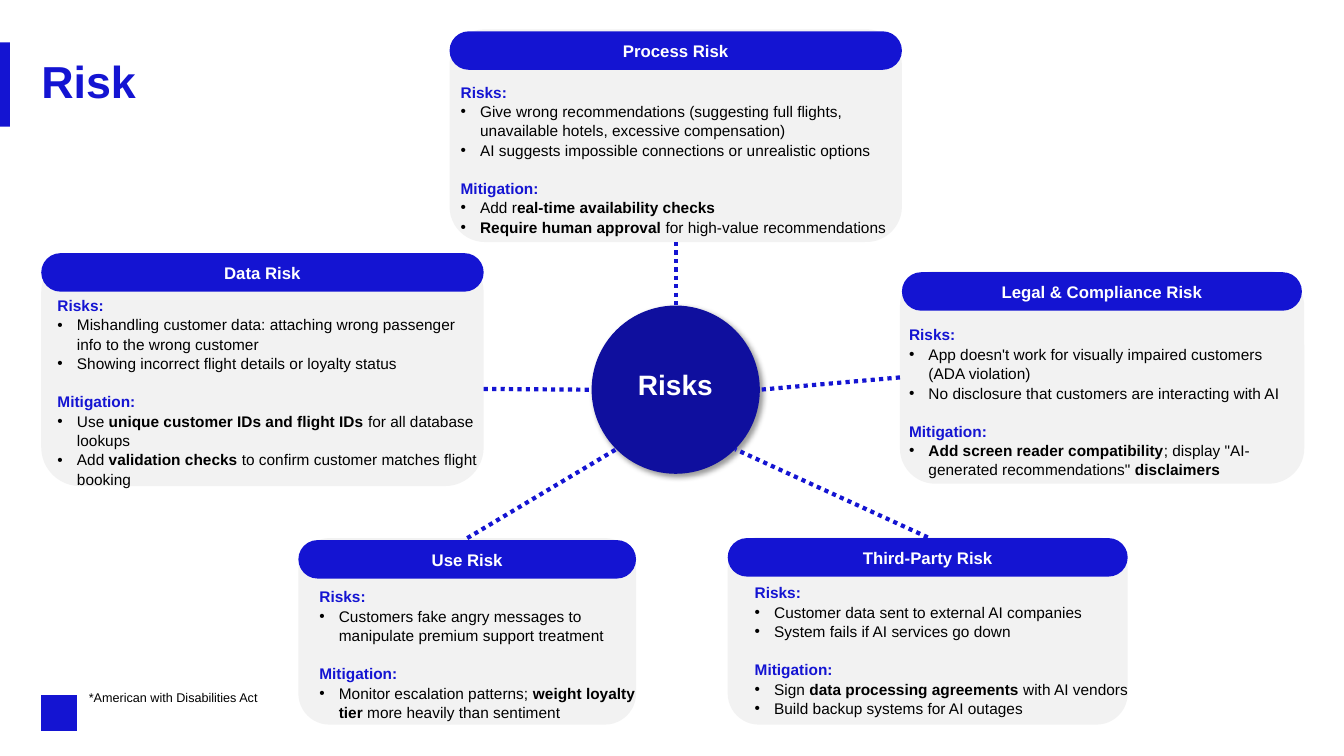
from lxml import etree
from pptx import Presentation
from pptx.dml.color import RGBColor
from pptx.enum.dml import MSO_LINE
from pptx.enum.shapes import MSO_CONNECTOR, MSO_SHAPE as SHAPE
from pptx.enum.text import MSO_ANCHOR as ANCHOR, PP_ALIGN as ALIGN
from pptx.oxml import parse_xml
from pptx.oxml.ns import nsdecls, qn
from pptx.util import Cm, Pt

BLUE = RGBColor(0x14, 0x14, 0xD2)
NAVY = RGBColor(0x0F, 0x0F, 0x9E)
GREY = RGBColor(0xF2, 0xF2, 0xF2)
WHITE = RGBColor(0xFF, 0xFF, 0xFF)
BLACK = RGBColor(0, 0, 0)

deck = Presentation()
deck.slide_width, deck.slide_height = Cm(33.87), Cm(19.05)
page = deck.slides.add_slide(deck.slide_layouts[5])


def add_block(kind, left, top, width, height, color):
    block = page.shapes.add_shape(kind, Cm(left), Cm(top), Cm(width), Cm(height))
    block.shadow.inherit = False
    block.fill.solid()
    block.fill.fore_color.rgb = color
    block.line.fill.background()
    return block


def write(box, lines, size, color, bold=False, align=ALIGN.LEFT,
          spacing=1.05, anchor=ANCHOR.TOP):
    """Fill a box; ** toggles bold, "- " makes a bullet, "# " a blue heading."""
    frame = box.text_frame
    layout = {"word_wrap": True, "vertical_anchor": anchor, "margin_left": 0,
              "margin_right": 0, "margin_top": 0, "margin_bottom": 0}
    for name, value in layout.items():
        setattr(frame, name, value)
    for index, line in enumerate(lines):
        para = frame.add_paragraph() if index else frame.paragraphs[0]
        heading = line.startswith("# ")
        if line.startswith("- "):
            properties = para._p.get_or_add_pPr()
            properties.set("marL", str(Cm(0.49)))
            properties.set("indent", str(-Cm(0.49)))
            etree.SubElement(properties, qn("a:buFont")).set("typeface", "Arial")
            etree.SubElement(properties, qn("a:buChar")).set("char", "•")
        para.alignment, para.line_spacing = align, spacing
        if heading and index:
            para.space_before = Pt(13.3)
        for part, text in enumerate(line.removeprefix("- ").removeprefix("# ").split("**")):
            if not text:
                continue
            span = para.add_run()
            span.text = text
            looks = {"name": "Arial", "size": Pt(size), "bold": bold or heading or part % 2 == 1}
            for name, value in looks.items():
                setattr(span.font, name, value)
            span.font.color.rgb = BLUE if heading else color


# Title, side accent, corner mark and footnote
title = page.shapes.title
title.left, title.top, title.width, title.height = Cm(1.04), Cm(1.5), Cm(31.75), Cm(1.22)
write(title, ["Risk"], 32, BLUE, bold=True, spacing=0.9, anchor=ANCHOR.MIDDLE)
add_block(SHAPE.RECTANGLE, 0, 1.07, 0.25, 2.12, BLUE)
add_block(SHAPE.RECTANGLE, 1.04, 17.52, 0.9, 0.9, BLUE)
footnote = page.shapes.add_textbox(Cm(2.24), Cm(17.37), Cm(8.76), Cm(0.38))
write(footnote, ["*American with Disabilities Act"], 9, BLACK)

# Risk cards: name, card box, header (left, top, width), text box, lines
risk_cards = [
    ("Use Risk", (7.52, 13.56, 8.51, 4.7), (7.52, 13.61, 8.51), (8.05, 14.78, 8, 3.3), [
        "# Risks:",
        "- Customers fake angry messages to manipulate premium support treatment",
        "# Mitigation:",
        "- Monitor escalation patterns; **weight loyalty tier **more heavily than sentiment"]),
    ("Third-Party Risk", (18.34, 13.54, 10.08, 4.72), (18.34, 13.56, 10.08),
     (19.02, 14.68, 9.45, 3.3), [
        "# Risks:",
        "- Customer data sent to external AI companies",
        "- System fails if AI services go down",
        "# Mitigation:",
        "- Sign **data processing agreements** with AI vendors",
        "- Build backup systems for AI outages"]),
    ("Data Risk", (1.04, 6.38, 11.15, 5.87), (1.04, 6.38, 11.15), (1.45, 7.44, 10.74, 4.7), [
        "# Risks:",
        "- Mishandling customer data: attaching wrong passenger info to the wrong customer",
        "- Showing incorrect flight details or loyalty status",
        "# Mitigation:",
        "- Use** unique customer IDs and flight IDs** for all database lookups",
        "- Add **validation checks** to confirm customer matches flight booking"]),
    ("Legal & Compliance Risk", (22.68, 6.83, 10.19, 5.36), (22.73, 6.86, 10.08),
     (22.91, 8.18, 9.75, 3.76), [
        "# Risks:",
        "- App doesn't work for visually impaired customers (ADA violation)",
        "- No disclosure that customers are interacting with AI",
        "# Mitigation:",
        "- **Add screen reader compatibility**; display \"AI-generated recommendations\" "
        "**disclaimers**"]),
    ("Process Risk", (11.33, 0.74, 11.4, 5.36), (11.33, 0.79, 11.4), (11.61, 2.06, 11, 3.76), [
        "# Risks:",
        "- Give wrong recommendations (suggesting full flights, unavailable hotels, "
        "excessive compensation)",
        "- AI suggests impossible connections or unrealistic options",
        "# Mitigation:",
        "- Add r**eal-time availability checks**",
        "- **Require human approval** for high-value recommendations"]),
]
cards = {}
for name, card_box, header_box, text_box, lines in risk_cards:
    cards[name] = add_block(SHAPE.ROUNDED_RECTANGLE, *card_box, GREY)
    header = add_block(SHAPE.ROUNDED_RECTANGLE, *header_box, 0.97, BLUE)
    header.adjustments[0] = 0.5
    write(header, [name], 12, WHITE, bold=True, align=ALIGN.CENTER, anchor=ANCHOR.MIDDLE)
    body = page.shapes.add_textbox(*(Cm(value) for value in text_box))
    write(body, lines, 11, BLACK)

# Central hub with its shadow and label
hub = add_block(SHAPE.OVAL, 14.91, 7.7, 4.24, 4.24, NAVY)
hub._element.spPr.find(qn("a:effectLst")).append(parse_xml(
    f'<a:outerShdw {nsdecls("a")} blurRad="{Pt(4)}" dist="{Pt(3)}" dir="2700000" algn="tl" '
    'rotWithShape="0"><a:srgbClr val="000000"><a:alpha val="40000"/></a:srgbClr></a:outerShdw>'))
label = page.shapes.add_textbox(Cm(14.53), Cm(9.35), Cm(4.98), Cm(0.76))
write(label, ["Risks"], 20, WHITE, bold=True, align=ALIGN.CENTER, spacing=0.9)

# Dotted links: card, card side (None = the given start), start, end on the hub
links = [
    ("Process Risk", 2, (17.03, 6.1), (17.03, 7.7)),
    ("Legal & Compliance Risk", 1, (22.68, 9.51), (19.15, 9.82)),
    ("Third-Party Risk", 0, (23.38, 13.54), (18.53, 11.32)),
    ("Use Risk", 0, (11.78, 13.56), (15.53, 11.32)),
    ("Data Risk", None, (12.19, 9.8), (14.91, 9.82)),
]
for name, side, start, end in links:
    link = page.shapes.add_connector(
        MSO_CONNECTOR.STRAIGHT, *(Cm(value) for value in start + end))
    if side is not None:
        link.begin_connect(cards[name], side)
    link.line.color.rgb = BLUE
    link.line.width = Pt(3)
    link.line.dash_style = MSO_LINE.ROUND_DOT
    etree.SubElement(link._element.spPr, qn("a:effectLst"))

deck.save("out.pptx")
